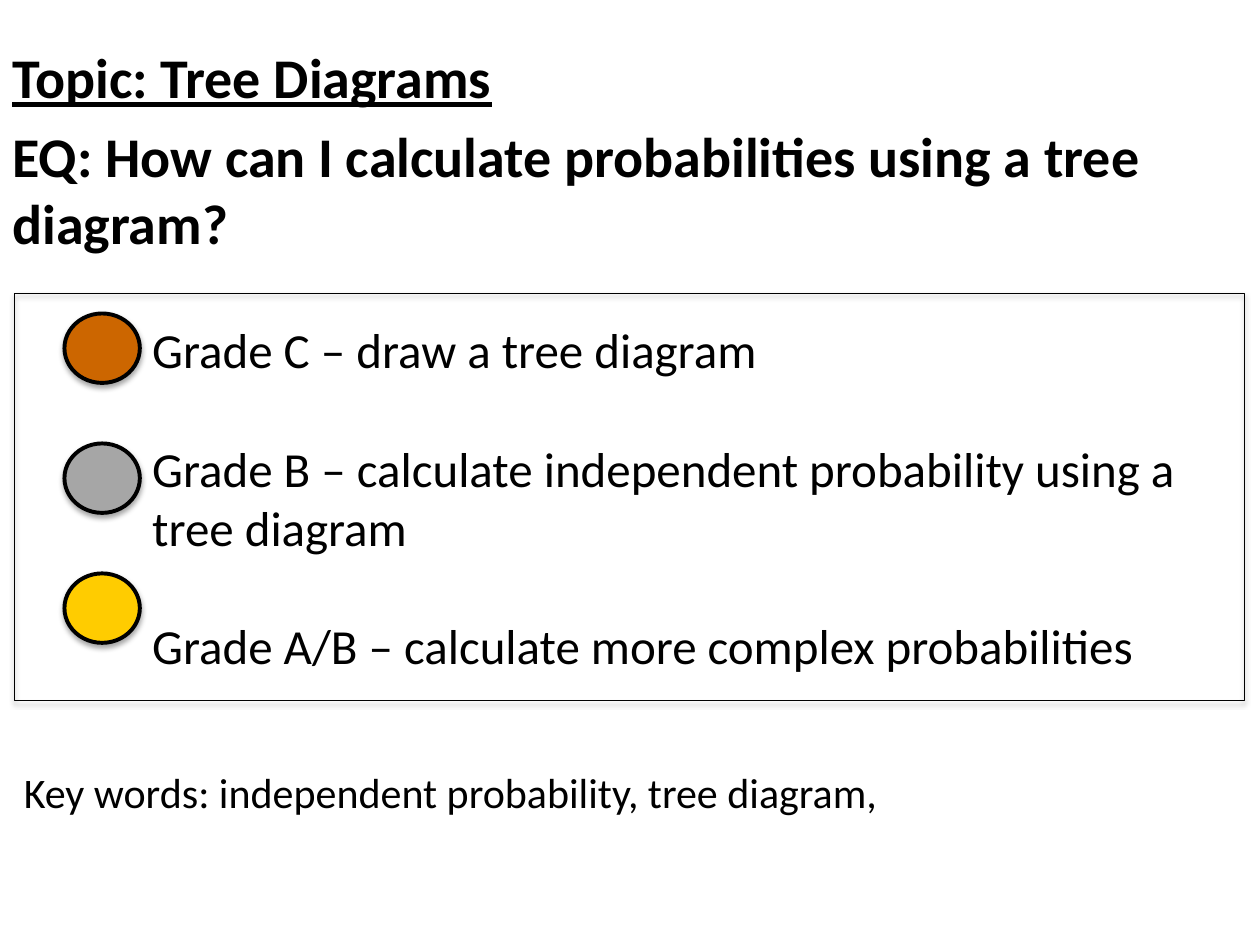
from lxml import etree
from pptx import Presentation
from pptx.dml.color import RGBColor
from pptx.enum.shapes import MSO_SHAPE
from pptx.oxml.ns import qn
from pptx.util import Cm, Pt

OVAL, RECTANGLE = MSO_SHAPE.OVAL, MSO_SHAPE.RECTANGLE

BLACK = RGBColor(0x00, 0x00, 0x00)
BRONZE = RGBColor(0xCC, 0x66, 0x00)
SILVER = RGBColor(0xA6, 0xA6, 0xA6)
GOLD = RGBColor(0xFF, 0xCC, 0x00)
FONT = "Calibri"

# Each grade's medal colour and the lines of its target
GRADES = [
    (BRONZE, ["Grade C – draw a tree diagram"]),
    (SILVER, ["Grade B – calculate independent probability using a", "tree diagram"]),
    (GOLD, ["Grade A/B – calculate more complex probabilities"]),
]


def add_lines(slide, box, lines, size, wrap=False):
    """Add a text box; lines holds (text, space before in points) pairs."""
    frame = slide.shapes.add_textbox(*map(Cm, box)).text_frame
    frame.word_wrap = wrap
    for index, (text, space_before) in enumerate(lines):
        paragraph = frame.paragraphs[0] if index == 0 else frame.add_paragraph()
        paragraph.text = text
        paragraph.space_before = Pt(space_before)
        paragraph.font.name = FONT
        paragraph.font.size = Pt(size)
        paragraph.font.color.rgb = BLACK
    return frame.paragraphs


def add_shadowed(slide, kind, box, fill, line_width):
    """Add an outlined shape with a soft shadow below it."""
    shape = slide.shapes.add_shape(kind, *map(Cm, box))
    if fill is None:
        shape.fill.background()
    else:
        shape.fill.solid()
        shape.fill.fore_color.rgb = fill
    shape.line.color.rgb = BLACK
    shape.line.width = Pt(line_width)
    shape.shadow.inherit = False
    effects = shape.element.spPr.find(qn("a:effectLst"))
    shadow = etree.SubElement(effects, qn("a:outerShdw"), blurRad=str(Pt(3.1)),
                              dist=str(Pt(1.8)), dir="5400000", rotWithShape="0")
    color = etree.SubElement(shadow, qn("a:srgbClr"), val=str(BLACK))
    etree.SubElement(color, qn("a:alpha"), val="35000")


def add_heading(slide, box):
    topic, question = add_lines(slide, box, [
        ("Topic: Tree Diagrams", 0),
        ("EQ: How can I calculate probabilities using a tree diagram?", 6.4),
    ], 32, wrap=True)
    topic.font.bold = question.font.bold = True
    topic.font.underline = True


def add_grades(slide, box):
    left, top, width, height = box
    medal_width, medal_height, medal_step = 1.52, 1.4, 2.62
    medal_left, first_top = left + 1, top + 0.4

    # Targets, with one line's height between grades
    lines = []
    for _, target in GRADES:
        for index, text in enumerate(target):
            lines.append((text, 34.2 if lines and index == 0 else 0))
    text_left = medal_left + medal_width
    add_lines(slide, (text_left, first_top, 21.56, 9.83), lines, 28)

    # Medals
    for index, (color, _) in enumerate(GRADES):
        medal_box = (medal_left, first_top + index * medal_step, medal_width, medal_height)
        add_shadowed(slide, OVAL, medal_box, color, 2.25)

    # Frame
    add_shadowed(slide, RECTANGLE, box, None, 0.75)


def add_key_words(slide, box):
    add_lines(slide, box, [("Key words: independent probability, tree diagram,", 0)], 24)


def main():
    prs = Presentation()
    prs.slide_width, prs.slide_height = Cm(25.4), Cm(19.05)
    slide = prs.slides.add_slide(prs.slide_layouts[6])
    add_heading(slide, (0, 0.74, 25.1, 5.21))
    add_grades(slide, (0.3, 5.92, 24.79, 8.2))
    add_key_words(slide, (0.23, 15.32, 18.08, 1.27))
    prs.save("out.pptx")


if __name__ == "__main__":
    main()
